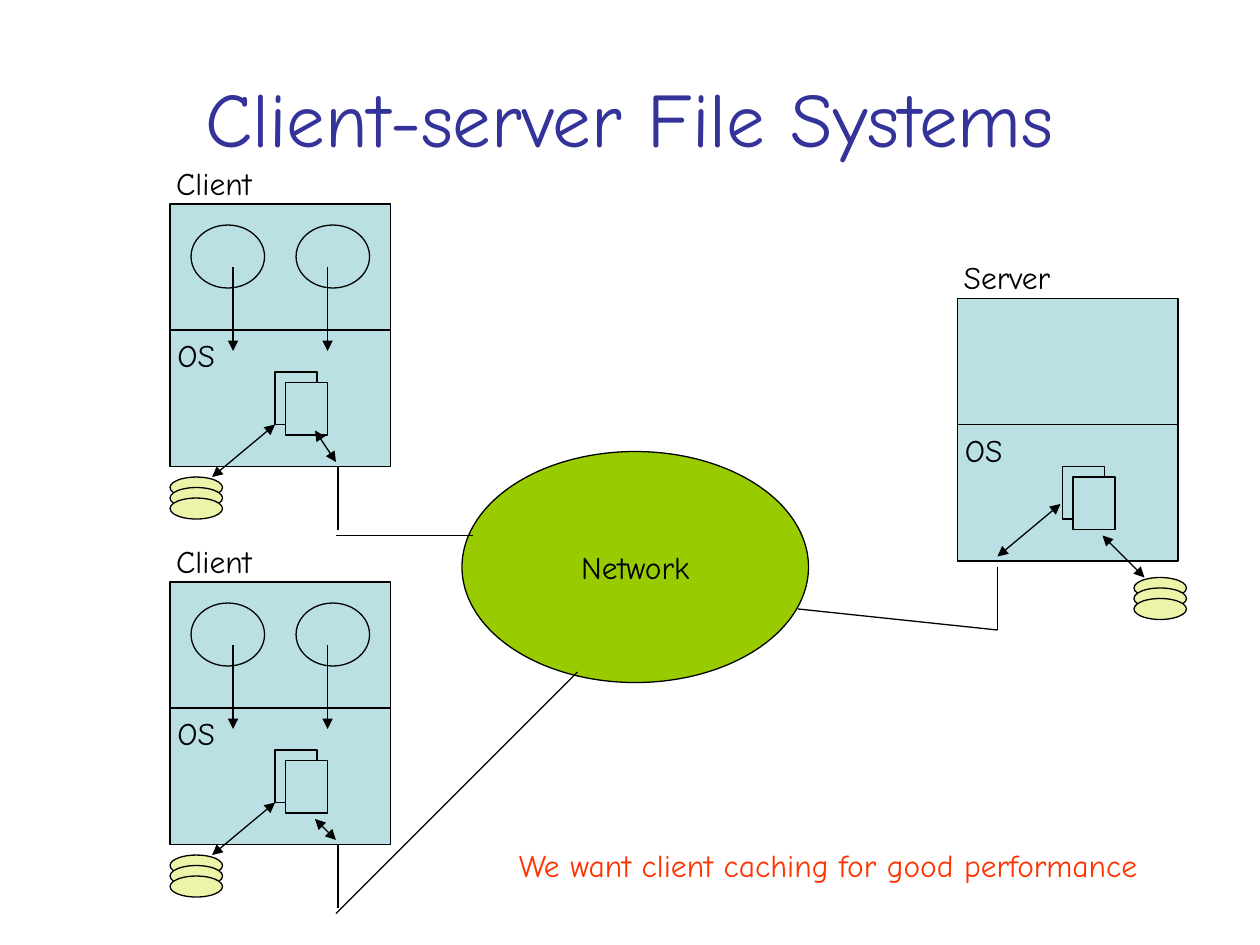
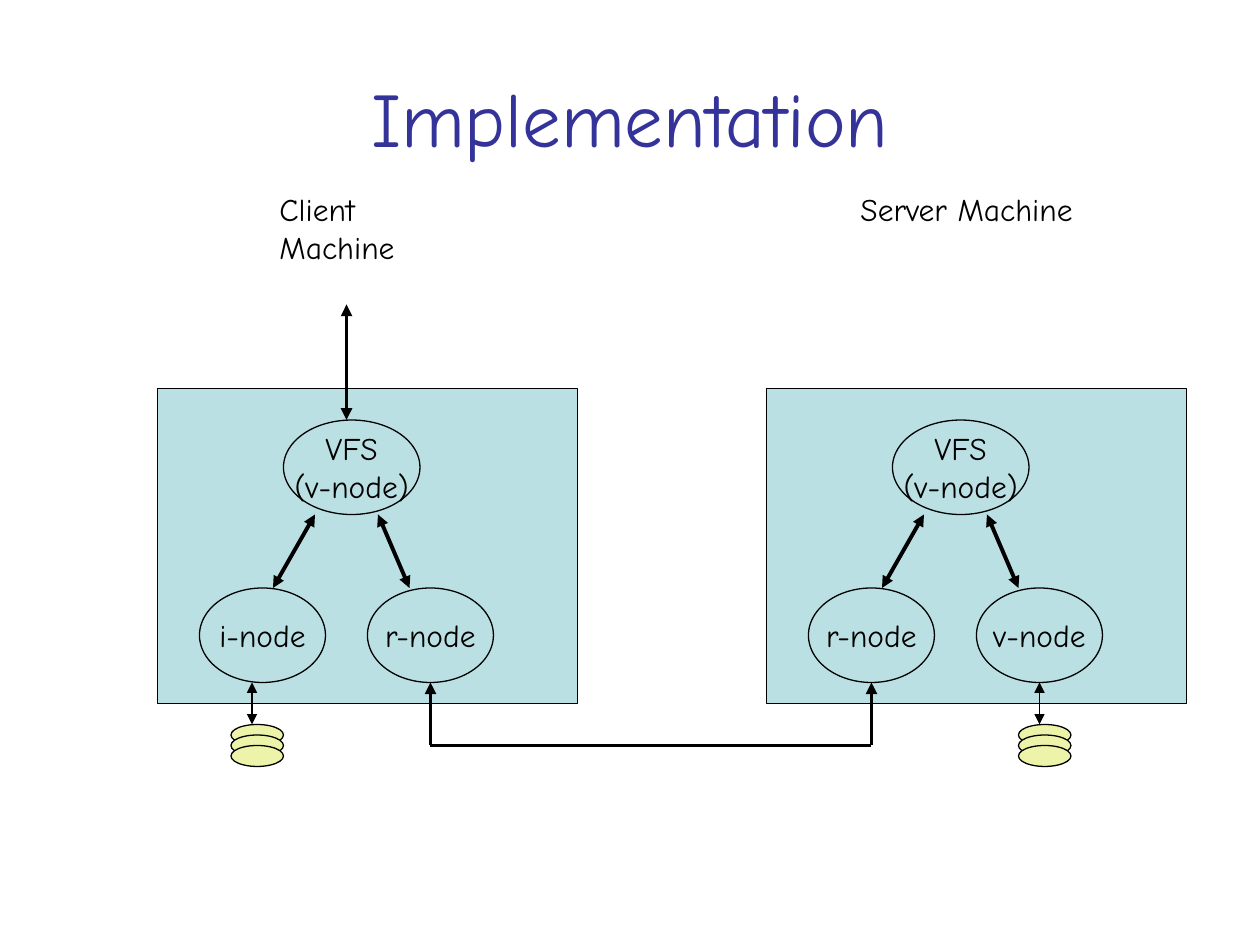
from pptx import Presentation
from pptx.dml.color import RGBColor
from pptx.enum.shapes import MSO_CONNECTOR, MSO_SHAPE as Preset
from pptx.enum.text import MSO_ANCHOR as Anchor, PP_ALIGN as Align
from pptx.oxml.ns import qn
from pptx.util import Pt
from lxml.etree import SubElement

# Shared look
FONT = "Comic Neue"
BLACK = RGBColor(0x00, 0x00, 0x00)
TITLE_BLUE = RGBColor(0x33, 0x33, 0x99)
NOTE_RED = RGBColor(0xFF, 0x33, 0x00)
MACHINE_BLUE = RGBColor(0xBB, 0xE0, 0xE3)
NETWORK_GREEN = RGBColor(0x99, 0xCC, 0x00)
DISK_YELLOW = RGBColor(0xED, 0xF4, 0xAA)
THIN, THICK = 0.75, 2.25
LABEL_HEIGHT = 28.8
PLATTER_STEP = 6

# Slide 1: computers are 126 x 150 boxes; other places are on the slide
CLIENTS = [("Client", 97.2, 116.6), ("Client", 97.2, 332.6)]
SERVER = ("Server", 547.2, 170.6)
LABEL_WIDTHS = {"Client": 57.6, "Server": 64.1, "OS": 36}
PROCESSES = [(12, 36), (72, 90)]  # left edge, x of the system call arrow
NETWORK = ("Network", 264, 258, 198, 132)
CACHING_NOTE = ("We want client caching for good performance", 289.4, 480.2, 370)
CABLES = [
    (192, 306, 270, 306),
    (192, 522, 330, 384),
    (570, 324, 570, 360),
    (456, 348, 570, 360),
]
CACHE_ARROWS = [
    (180, 246, 192, 264),
    (180, 468, 192, 480),
    (606, 288, 570, 318),
    (630, 306, 654, 330),
]
SERVER_DISK = (648, 330)

# Slide 2: label, label left and width, machine left, lower nodes, disk offset
MACHINES = [
    ("Client Machine", 152.6, 128.9, 90, ("i-node", "r-node"), 42),
    ("Server Machine", 484.6, 136.1, 438, ("r-node", "v-node"), 144),
]
MACHINE_TOP = 222
NODE_LEFTS = (24, 120)
NODE_ARROWS = [(90, 72, 66, 114), (126, 72, 144, 114)]
REQUEST_ARROW = (198, 174, 198, 240)
REMOTE_LEFT, REMOTE_RIGHT, REMOTE_BOTTOM, NODE_BOTTOM = 246, 498, 426, 390


def write(shape, text, size=18, color=BLACK, wrap=False,
          align=Align.CENTER, anchor=Anchor.MIDDLE):
    frame = shape.text_frame
    frame.word_wrap = wrap
    frame.vertical_anchor = anchor
    frame.text = text
    for paragraph in frame.paragraphs:
        paragraph.alignment = align
        formats = {"name": FONT, "size": Pt(size)}
        for name, value in formats.items():
            setattr(paragraph.font, name, value)
        paragraph.font.color.rgb = color


def add_label(slide, text, left, top, width, color=BLACK):
    box = slide.shapes.add_textbox(Pt(left), Pt(top), Pt(width), Pt(LABEL_HEIGHT))
    write(box, text, color=color, align=Align.LEFT, anchor=Anchor.TOP)


def add_figure(slide, preset, left, top, width, height, fill=MACHINE_BLUE, text=""):
    shape = slide.shapes.add_shape(preset, Pt(left), Pt(top), Pt(width), Pt(height))
    shape.shadow.inherit = False
    shape.fill.solid()
    shape.fill.fore_color.rgb = fill
    shape.line.color.rgb = BLACK
    shape.line.width = Pt(THIN)
    if text:
        write(shape, text)


def add_line(slide, points, weight=THIN, arrows=()):
    """arrows holds "headEnd" for the start and "tailEnd" for the end."""
    connector = slide.shapes.add_connector(
        MSO_CONNECTOR.STRAIGHT, *[Pt(value) for value in points])
    connector.line.color.rgb = BLACK
    connector.line.width = Pt(weight)
    properties = connector.element.spPr
    outline = properties.find(qn("a:ln"))
    for end in arrows:
        SubElement(outline, qn(f"a:{end}"), type="triangle")
    SubElement(properties, qn("a:effectLst"))


END = ("tailEnd",)
BOTH = ("headEnd", "tailEnd")


def shifted(points, left, top):
    x1, y1, x2, y2 = points
    return left + x1, top + y1, left + x2, top + y2


def add_disk(slide, left, top):
    for platter in range(3):
        add_figure(slide, Preset.OVAL, left, top + platter * PLATTER_STEP,
                   30, 12, DISK_YELLOW)


def add_titled_slide(presentation, title):
    slide = presentation.slides.add_slide(presentation.slide_layouts[6])
    box = slide.shapes.add_textbox(Pt(36), Pt(21.6), Pt(648), Pt(90))
    write(box, title, size=44, color=TITLE_BLUE, wrap=True)
    return slide


def add_computer(slide, name, left, top):
    """Box split into user space and OS, with two cached pages."""
    add_figure(slide, Preset.RECTANGLE, left, top, 126, 150)
    add_line(slide, shifted((0, 72, 126, 72), left, top))
    add_label(slide, "OS", left - 2.9, top + 72, LABEL_WIDTHS["OS"])
    for offset in (0, 6):
        add_figure(slide, Preset.RECTANGLE, left + 60 + offset,
                   top + 96 + offset, 24, 30)
    add_label(slide, name, left - 3.6, top - 26.6, LABEL_WIDTHS[name])


def add_client(slide, name, left, top):
    add_computer(slide, name, left, top)
    for process_left, call_x in PROCESSES:
        add_figure(slide, Preset.OVAL, left + process_left, top + 12, 42, 36)
        add_line(slide, shifted((call_x, 36, call_x, 84), left, top), arrows=END)
    add_disk(slide, left, top + 156)
    add_line(slide, shifted((60, 126, 24, 156), left, top), arrows=BOTH)
    add_line(slide, shifted((96, 150, 96, 186), left, top))


def build_file_systems(presentation):
    slide = add_titled_slide(presentation, "Client-server File Systems")
    text, *place = NETWORK
    add_figure(slide, Preset.OVAL, *place, NETWORK_GREEN, text)
    for client in CLIENTS:
        add_client(slide, *client)
    add_computer(slide, *SERVER)
    add_disk(slide, *SERVER_DISK)
    for cable in CABLES:
        add_line(slide, cable)
    for arrow in CACHE_ARROWS:
        add_line(slide, arrow, arrows=BOTH)
    add_label(slide, *CACHING_NOTE, color=NOTE_RED)


def build_implementation(presentation):
    slide = add_titled_slide(presentation, "Implementation")
    top = MACHINE_TOP
    for label, label_left, label_width, left, nodes, disk_offset in MACHINES:
        add_label(slide, label, label_left, 105.1, label_width)
        add_figure(slide, Preset.RECTANGLE, left, top, 240, 180)
        add_figure(slide, Preset.OVAL, left + 72, top + 18, 78, 54,
                   text="VFS\n(v-node)")
        for node, node_left in zip(nodes, NODE_LEFTS):
            add_figure(slide, Preset.OVAL, left + node_left, top + 114, 72, 54,
                       text=node)
        for arrow in NODE_ARROWS:
            add_line(slide, shifted(arrow, left, top), THICK, BOTH)
        disk_left = left + disk_offset
        add_disk(slide, disk_left, top + 192)
        add_line(slide, shifted((12, 168, 12, 192), disk_left, top), arrows=BOTH)

    # Request from above, and the link between the two r-nodes
    add_line(slide, REQUEST_ARROW, THICK, BOTH)
    add_line(slide, (REMOTE_LEFT, REMOTE_BOTTOM, REMOTE_RIGHT, REMOTE_BOTTOM), THICK)
    for x in (REMOTE_LEFT, REMOTE_RIGHT):
        add_line(slide, (x, REMOTE_BOTTOM, x, NODE_BOTTOM), THICK, END)


def main():
    presentation = Presentation()
    presentation.slide_width, presentation.slide_height = Pt(720), Pt(540)
    build_file_systems(presentation)
    build_implementation(presentation)
    presentation.save("out.pptx")


if __name__ == "__main__":
    main()
